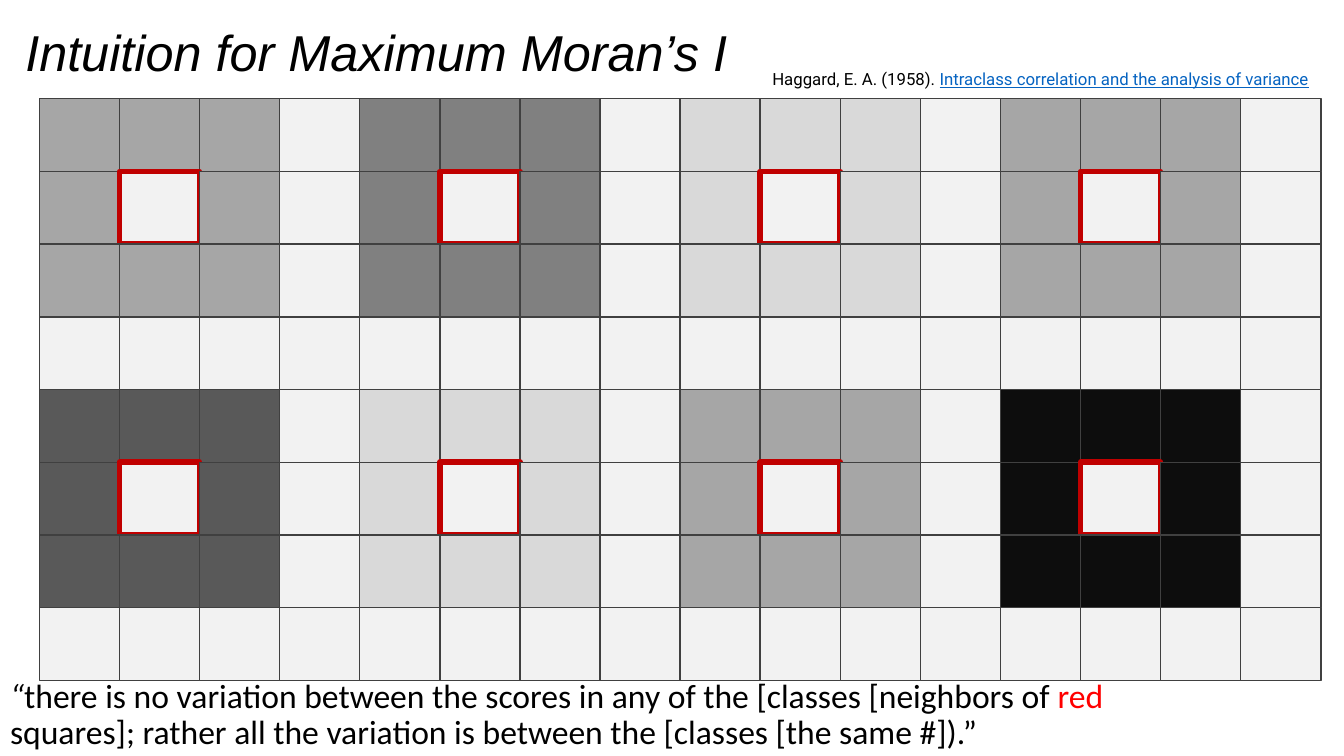
from itertools import product

from lxml import etree
from pptx import Presentation
from pptx.dml.color import RGBColor
from pptx.enum.shapes import MSO_SHAPE
from pptx.enum.text import MSO_ANCHOR, MSO_AUTO_SIZE, PP_ALIGN
from pptx.oxml.ns import qn
from pptx.util import Inches, Pt

RECT = MSO_SHAPE.RECTANGLE
TOP, MIDDLE = MSO_ANCHOR.TOP, MSO_ANCHOR.MIDDLE
LEFT = PP_ALIGN.LEFT
FIXED = MSO_AUTO_SIZE.NONE

BLACK = RGBColor(0x00, 0x00, 0x00)
RED = RGBColor(0xFF, 0x00, 0x00)
BLUE = RGBColor(0x05, 0x63, 0xC1)
FRAME = RGBColor(0xC0, 0x00, 0x00)
LINE = RGBColor(0x40, 0x40, 0x40)
PALE = RGBColor(0xF2, 0xF2, 0xF2)
LIGHT = RGBColor(0xD9, 0xD9, 0xD9)
GREY = RGBColor(0xA6, 0xA6, 0xA6)
MID = RGBColor(0x80, 0x80, 0x80)
DARK = RGBColor(0x59, 0x59, 0x59)
INK = RGBColor(0x0D, 0x0D, 0x0D)

WIDE, HIGH = Inches(13.33), Inches(7.5)
TITLE_BOX = (1.13, 2.67, 97.82, 9.33)
CITE_BOX = (55.36, 9.07, 44.04, 3.6)
GRID_BOX = (2.93, 13.07, 95.35, 76.93)
QUOTE_BOX = (0, 89.2, 84.55, 10.8)

CLASSES = [
    [GREY, MID, LIGHT, GREY],
    [DARK, LIGHT, GREY, INK],
]
SIDE = 4
CENTRE = (1, 1)


def scale(box):
    return [round(part * full / 100) for part, full in zip(box, (WIDE, HIGH) * 2)]


def place(shape, box):
    for name, value in zip(("left", "top", "width", "height"), scale(box)):
        setattr(shape, name, value)


def apply(target, style):
    for name, value in style.items():
        setattr(target, name, value)


def write(shape, runs, base, frame, para):
    apply(shape.text_frame, {"word_wrap": True, "auto_size": FIXED, **frame})
    text = shape.text_frame.paragraphs[0]
    apply(text, {"alignment": LEFT, "space_before": Pt(0), **para})
    for words, extra in runs:
        run = text.add_run()
        run.text = words
        style = {**base, **extra}
        run.font.color.rgb = style.pop("color", BLACK)
        apply(run.font, style)


def add_title(slide, box):
    title = slide.shapes.title
    place(title, box)
    write(title, [("Intuition for Maximum Moran’s I", {})],
          {"name": "Arial", "size": Pt(36), "italic": True},
          {"vertical_anchor": MIDDLE}, {"line_spacing": 0.9})


def add_cite(slide, box):
    cite = slide.shapes.add_textbox(*scale(box))
    runs = [
        ("Haggard, E. A. (1958). ", {}),
        ("Intraclass correlation and the analysis of variance",
         {"color": BLUE, "underline": True}),
    ]
    frame = {"vertical_anchor": TOP, "margin_left": Inches(0.28), "margin_top": 0,
             "margin_right": 0, "margin_bottom": Inches(0.07)}
    write(cite, runs, {"name": "Roboto", "size": Pt(12)}, frame, {})


def add_grid(slide, box):
    left, top, width, height = scale(box)
    rows, cols = SIDE * len(CLASSES), SIDE * len(CLASSES[0])
    wide, high = width / cols, height / rows
    for row, col in product(range(rows), range(cols)):
        spot = (row % SIDE, col % SIDE)
        core = spot == CENTRE
        edge = core or max(spot) == SIDE - 1
        cell = slide.shapes.add_shape(
            RECT, round(left + col * wide), round(top + row * high),
            round(wide), round(high))
        cell.shadow.inherit = False
        cell.fill.solid()
        cell.fill.fore_color.rgb = PALE if edge else CLASSES[row // SIDE][col // SIDE]
        cell.line.color.rgb = FRAME if core else LINE
        cell.line.width = Pt(4 if core else 1)


def add_quote(slide, box):
    quote = slide.placeholders[1]
    place(quote, box)
    props = quote.text_frame.paragraphs[0]._p.get_or_add_pPr()
    props.set("marL", "0")
    props.set("indent", "0")
    etree.SubElement(props, qn("a:buNone"))
    runs = [
        ("“", {"italic": True}),
        ("there is no variation between the scores in any of the "
         "[classes [neighbors of ", {}),
        ("red", {"color": RED}),
        (" squares]; rather all the variation is between the "
         "[classes [the same #]).”", {}),
    ]
    write(quote, runs, {"name": "Calibri", "size": Pt(24)},
          {"vertical_anchor": TOP}, {"line_spacing": 0.9})


def main():
    deck = Presentation()
    deck.slide_width, deck.slide_height = WIDE, HIGH
    slide = deck.slides.add_slide(deck.slide_layouts[1])
    add_grid(slide, GRID_BOX)
    add_title(slide, TITLE_BOX)
    add_quote(slide, QUOTE_BOX)
    add_cite(slide, CITE_BOX)
    deck.save("out.pptx")


if __name__ == "__main__":
    main()
